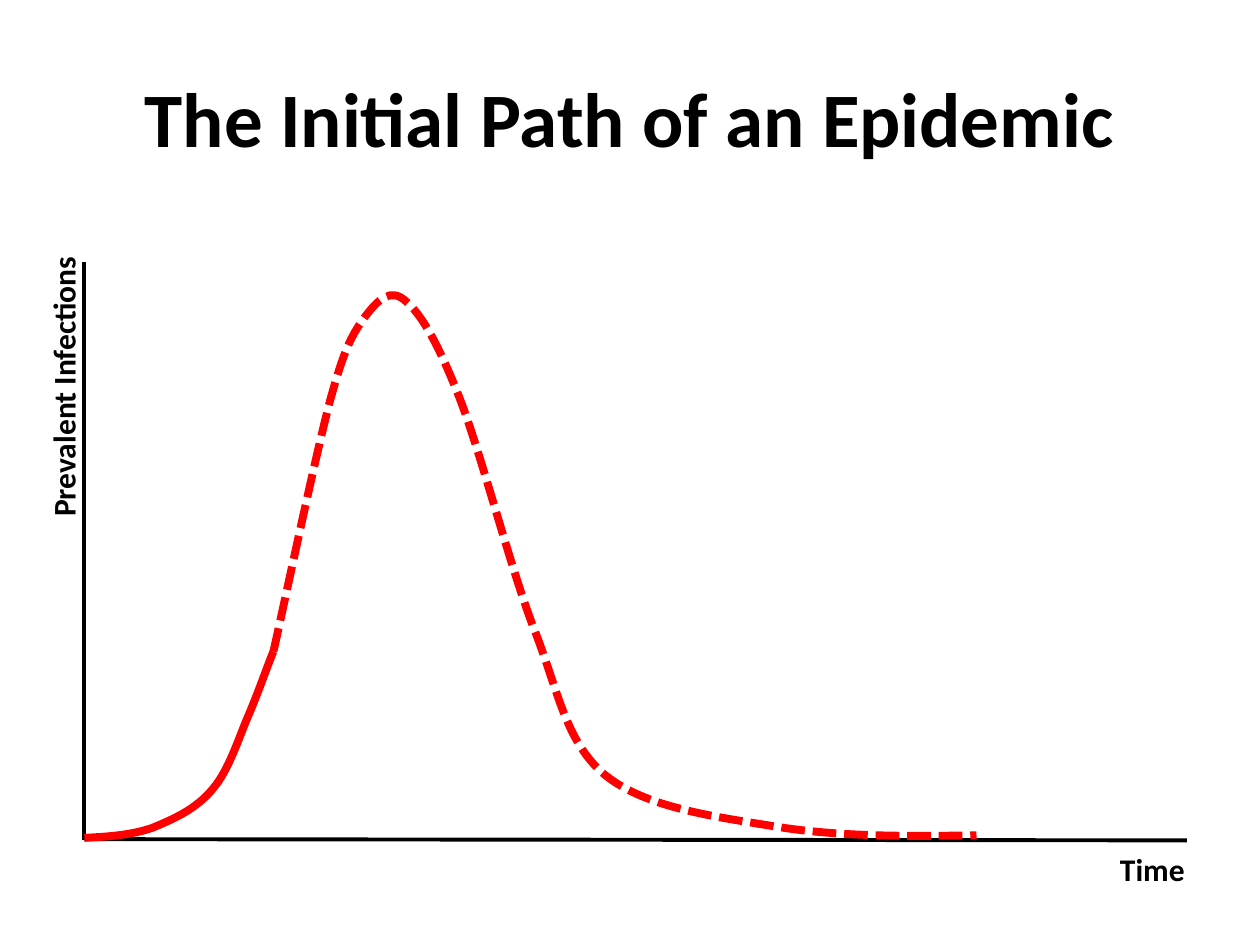
import pptx
import pptx.dml.color
import pptx.enum.dml
import pptx.enum.shapes
import pptx.enum.text
import pptx.oxml.ns
import pptx.oxml.xmlchemy
import pptx.util
from pptx.util import Inches

BLACK = pptx.dml.color.RGBColor(0x00, 0x00, 0x00)
RED = pptx.dml.color.RGBColor(0xFF, 0x00, 0x00)

OBSERVED = [
    (0.67, 6.65),
    (0.85, 6.64), (1.04, 6.63), (1.21, 6.57),
    (1.38, 6.5), (1.56, 6.42), (1.69, 6.26),
    (1.82, 6.11), (1.9, 5.84), (1.98, 5.66),
    (2.06, 5.47), (2.11, 5.32), (2.17, 5.17),
]
PROJECTED = [
    (2.17, 5.17),
    (2.22, 4.96), (2.5, 3.63), (2.62, 3.18),
    (2.74, 2.74), (2.8, 2.65), (2.9, 2.51),
    (3, 2.38), (3.1, 2.28), (3.22, 2.39),
    (3.34, 2.49), (3.47, 2.71), (3.64, 3.14),
    (3.81, 3.57), (4.04, 4.47), (4.23, 4.97),
    (4.43, 5.47), (4.48, 5.88), (4.8, 6.15),
    (5.12, 6.41), (5.66, 6.48), (6.15, 6.56),
    (6.64, 6.64), (7.19, 6.64), (7.75, 6.63),
]


class Deck:
    font = "Calibri"
    title_size = 44
    label_size = 18
    axis_width = 2.25
    curve_width = 4.5

    def __init__(self, prs):
        self.s = prs.slides.add_slide(prs.slide_layouts[5])

    def format_text(self, tf, text, size):
        tf.text = text
        p = tf.paragraphs[0]
        for r in p.runs:
            r.font.name = self.font
            r.font.size = pptx.util.Pt(size)
            r.font.bold = True
            r.font.color.rgb = BLACK
        return p

    def title(self, text, x, y, w, h):
        sp = self.s.shapes.title
        sp.left, sp.top, sp.width, sp.height = map(Inches, (x, y, w, h))
        tf = sp.text_frame
        tf.vertical_anchor = pptx.enum.text.MSO_ANCHOR.MIDDLE
        p = self.format_text(tf, text, self.title_size)
        p.alignment = pptx.enum.text.PP_ALIGN.CENTER

    def label(self, text, x, y, w, h, rotation=0):
        sp = self.s.shapes.add_textbox(*map(Inches, (x, y, w, h)))
        sp.rotation = rotation
        tf = sp.text_frame
        tf.word_wrap = False
        tf.auto_size = pptx.enum.text.MSO_AUTO_SIZE.SHAPE_TO_FIT_TEXT
        self.format_text(tf, text, self.label_size)

    def axis(self, x1, y1, x2, y2):
        line = self.s.shapes.add_connector(
            pptx.enum.shapes.MSO_CONNECTOR.STRAIGHT, *map(Inches, (x1, y1, x2, y2)))
        line.line.color.rgb = BLACK
        line.line.width = pptx.util.Pt(self.axis_width)
        line._element.spPr.append(pptx.oxml.xmlchemy.OxmlElement("a:effectLst"))

    def curve(self, points, dash=None):
        start, *rest = [(Inches(x), Inches(y)) for x, y in points]
        fb = self.s.shapes.build_freeform(*start)
        fb.add_line_segments(rest, close=False)
        sp = fb.convert_to_shape()
        sp.shadow.inherit = False
        sp.fill.background()
        sp.line.color.rgb = RED
        sp.line.width = pptx.util.Pt(self.curve_width)
        if dash is not None:
            sp.line.dash_style = dash
        self.bend(sp)

    def bend(self, sp):
        segments = list(sp._element.iter(pptx.oxml.ns.qn("a:lnTo")))
        for i in range(0, len(segments), 3):
            bezier = pptx.oxml.xmlchemy.OxmlElement("a:cubicBezTo")
            segments[i].addprevious(bezier)
            for segment in segments[i:i + 3]:
                bezier.append(segment[0])
                segment.getparent().remove(segment)


def main():
    prs = pptx.Presentation()
    prs.slide_width, prs.slide_height = Inches(10), Inches(7.5)
    deck = Deck(prs)
    deck.title("The Initial Path of an Epidemic", 0.5, 0.3, 9, 1.25)
    deck.axis(0.67, 2.08, 0.67, 6.67)
    deck.axis(9.42, 6.67, 0.67, 6.66)
    deck.curve(OBSERVED)
    deck.curve(PROJECTED, pptx.enum.dml.MSO_LINE.SQUARE_DOT)
    deck.label("Time", 8.79, 6.7, 0.72, 0.4)
    deck.label("Prevalent Infections", -0.64, 2.86, 2.28, 0.4, rotation=270)
    prs.save("out.pptx")


if __name__ == "__main__":
    main()
